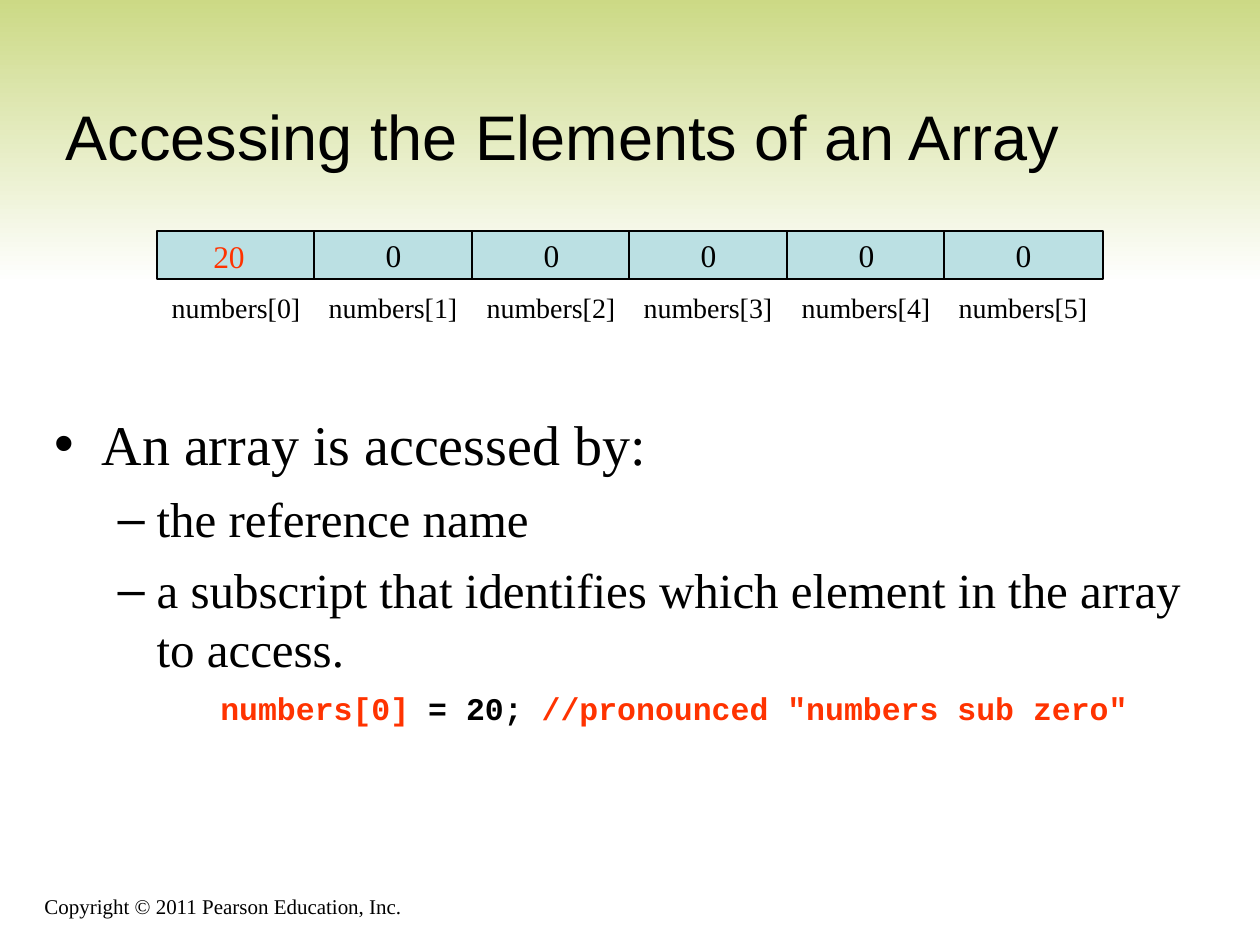
from pptx import Presentation
from pptx.dml.color import RGBColor
from pptx.enum.shapes import MSO_SHAPE
from pptx.enum.text import MSO_ANCHOR, MSO_AUTO_SIZE, PP_ALIGN
from pptx.oxml.ns import qn
from pptx.util import Pt
from lxml import etree

RECTANGLE = MSO_SHAPE.RECTANGLE
TOP, MIDDLE, BOTTOM = MSO_ANCHOR.TOP, MSO_ANCHOR.MIDDLE, MSO_ANCHOR.BOTTOM
LEFT, CENTER = PP_ALIGN.LEFT, PP_ALIGN.CENTER
NO_AUTOFIT = MSO_AUTO_SIZE.NONE
PX = 914400 // 126
SERIF, SANS, MONO = "Times New Roman", "Arial", "Courier New"
BLACK, RED, CELL_BLUE, GREEN, WHITE = "000000", "FF3300", "BBE0E3", "CAD881", "FFFFFF"


def rgb(value):
    return RGBColor.from_string(value)


def write(shape, runs, size=18, font=SERIF, bold=False, align=CENTER,
          anchor=TOP, wrap=True, paragraph=None):
    """Write (text, colour) runs into the shape's first or the given paragraph."""
    frame = shape.text_frame
    frame.auto_size = NO_AUTOFIT
    frame.word_wrap = wrap
    frame.vertical_anchor = anchor
    paragraph = paragraph or frame.paragraphs[0]
    paragraph.alignment = align
    for text, color in runs:
        run = paragraph.add_run()
        run.text = text
        run.font.size = Pt(size)
        run.font.name = font
        run.font.bold = bold
        run.font.color.rgb = rgb(color)


presentation = Presentation()
presentation.slide_width = 1260 * PX
presentation.slide_height = 945 * PX
slide = presentation.slides.add_slide(presentation.slide_layouts[1])
shapes = slide.shapes
title, body = slide.placeholders

# Gradient band, behind everything else
band = shapes.add_shape(RECTANGLE, 0, -10 * PX, 1260 * PX, 294 * PX)
band.shadow.inherit = False
band.line.fill.background()
band.fill.gradient()
band.fill.gradient_angle = 270
for stop, color, position in zip(band.fill.gradient_stops, (GREEN, WHITE), (0, 1)):
    stop.color.rgb = rgb(color)
    stop.position = position
shapes._spTree.insert(2, band._element)

# Copyright line
footer = shapes.add_textbox(32 * PX, 872 * PX, 766 * PX, 53 * PX)
write(footer, [("Copyright © 2011 Pearson Education, Inc.", BLACK)],
      size=12, align=LEFT, anchor=BOTTOM)

# Title
title.left, title.top, title.width, title.height = 53 * PX, 21 * PX, 1071 * PX, 158 * PX
write(title, [("Accessing the Elements of an Array", BLACK)],
      size=36, font=SANS, align=LEFT, anchor=BOTTOM)

# Bulleted list
body.left, body.top, body.width, body.height = 42 * PX, 403 * PX, 1143 * PX, 447 * PX
body.text_frame.margin_right = 0
bullets = [
    (0, "An array is accessed by:"),
    (1, "the reference name"),
    (1, "a subscript that identifies which element in the array to access."),
]
# level: bullet, left margin px, hanging indent px, text size
levels = {0: ("•", 47, 47, 32), 1: ("–", 102, 39, 28)}
for index, (level, text) in enumerate(bullets):
    bullet, margin, hanging, size = levels[level]
    frame = body.text_frame
    paragraph = frame.add_paragraph() if index else frame.paragraphs[0]
    paragraph.level = level
    paragraph.space_before = Pt(7 if index else 0)
    properties = paragraph._p.get_or_add_pPr()
    properties.set("marL", str(margin * PX))
    properties.set("indent", str(-hanging * PX))
    bullet_color = etree.SubElement(properties, qn("a:buClr"))
    etree.SubElement(bullet_color, qn("a:srgbClr")).set("val", BLACK)
    etree.SubElement(properties, qn("a:buChar")).set("char", bullet)
    write(body, [(text, BLACK)], size=size, align=LEFT, paragraph=paragraph)

# Code line
code = shapes.add_textbox(208 * PX, 683 * PX, 932 * PX, 50 * PX)
write(code, [("numbers[0]", RED), (" = 20; ", BLACK),
             ('//pronounced "numbers sub zero"', RED)],
      font=MONO, bold=True, wrap=False)

# Array cells with their subscripts
for column in range(6):
    left = 157 + 945 * column // 6
    cell = shapes.add_shape(RECTANGLE, left * PX, 231 * PX, 159 * PX, 48 * PX)
    cell.shadow.inherit = False
    cell.fill.solid()
    cell.fill.fore_color.rgb = rgb(CELL_BLUE)
    cell.line.color.rgb = rgb(BLACK)
    cell.line.width = Pt(0.75)
    if column:
        write(cell, [("0", BLACK)], anchor=MIDDLE, wrap=False)
    label = shapes.add_textbox(left * PX, 284 * PX, 158 * PX, 47 * PX)
    write(label, [(f"numbers[{column}]", BLACK)], size=16)

assigned_value = shapes.add_textbox(199 * PX, 231 * PX, 60 * PX, 50 * PX)
write(assigned_value, [("20", RED)])

presentation.save("out.pptx")
